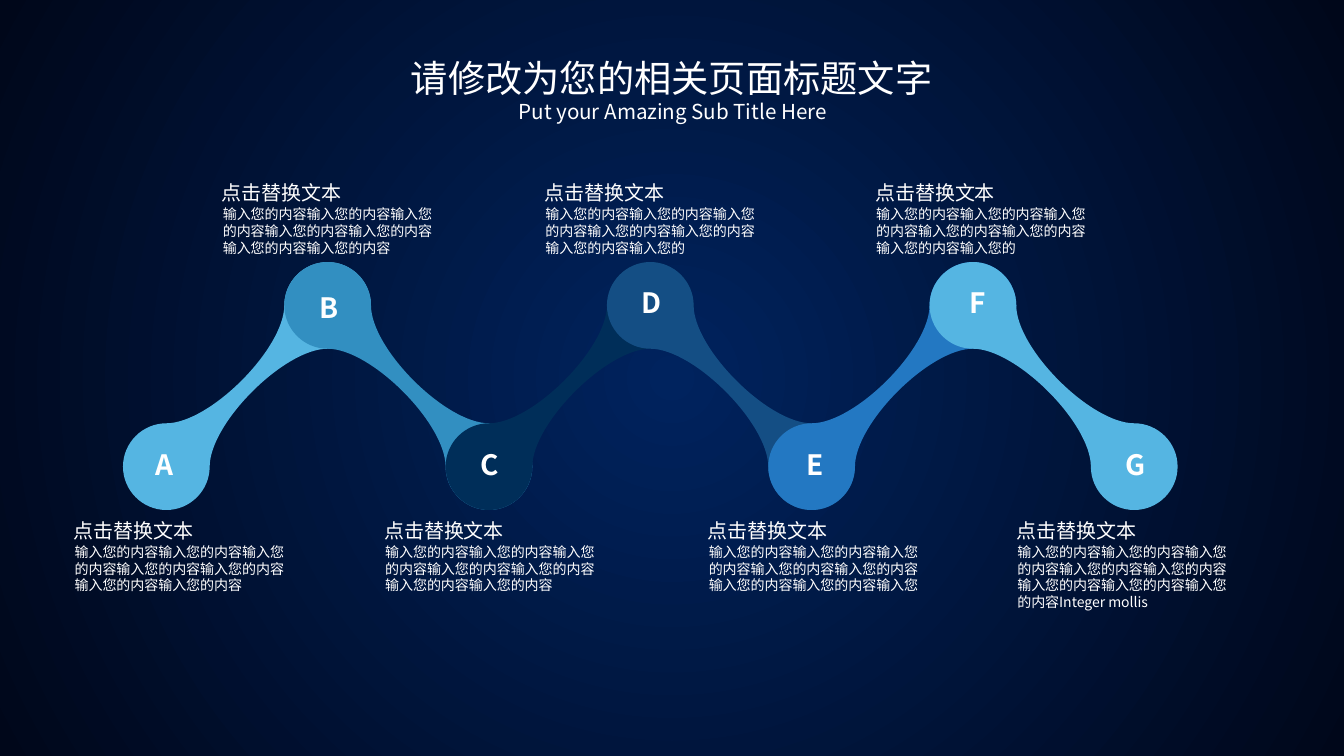
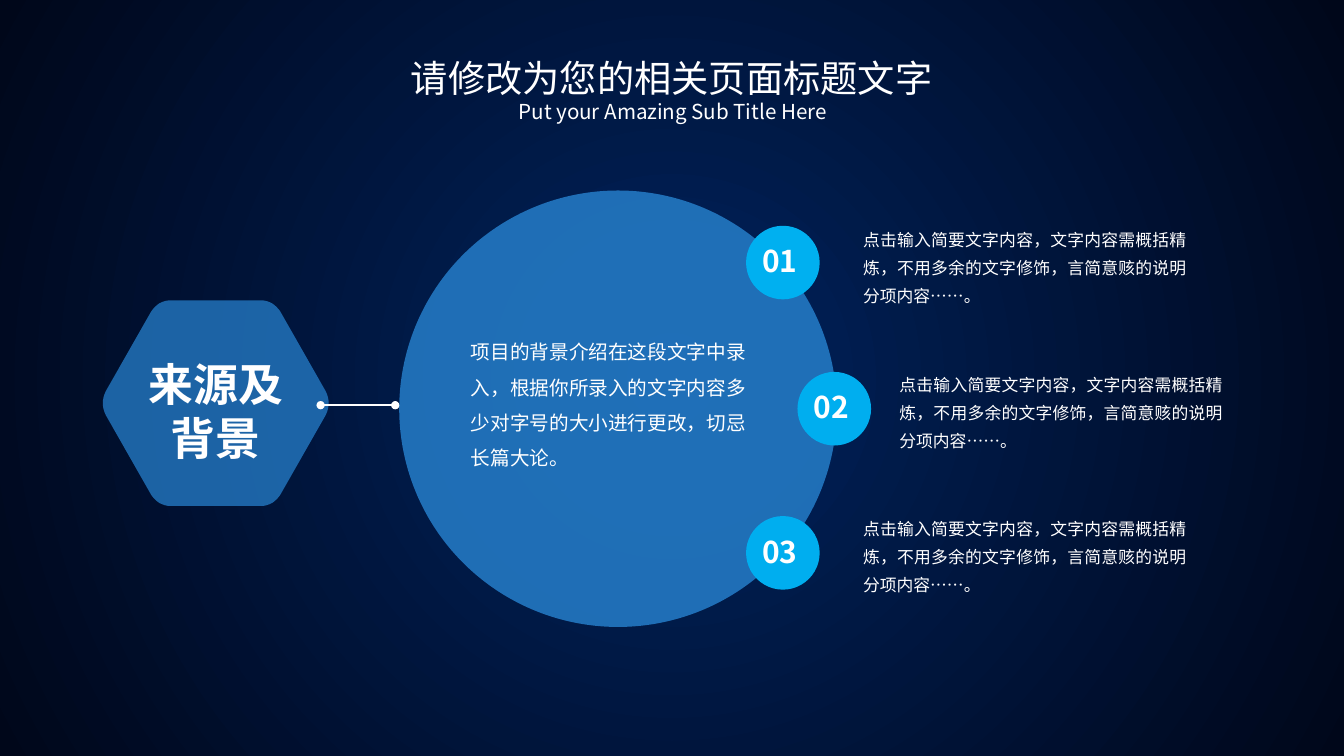
import math

from lxml import etree
from pptx import Presentation
from pptx import util as u
from pptx.dml.color import RGBColor
from pptx.enum import shapes, text
from pptx.oxml import ns

Inches, Pt = u.Inches, u.Pt
FONT = "Noto Sans CJK SC"
WHITE = RGBColor(0xFF, 0xFF, 0xFF)
GLOW = RGBColor(0x00, 0x23, 0x5E)
NIGHT = RGBColor(0x00, 0x07, 0x1A)
SKY = RGBColor(0x55, 0xB5, 0xE2)
OCEAN = RGBColor(0x32, 0x8F, 0xC1)
NAVY = RGBColor(0x00, 0x2E, 0x59)
STEEL = RGBColor(0x14, 0x4E, 0x84)
BLUE = RGBColor(0x23, 0x78, 0xC2)
AZURE = RGBColor(0x00, 0xB0, 0xF0)
CYAN = RGBColor(0x00, 0xAE, 0xEF)


def write(box, words, size, bold=False, inset=(0, 0), frame_format=None, para_format=None):
    frame = box.text_frame
    side, edge = map(Inches, inset)
    frame_values = {
        "margin_left": side, "margin_right": side,
        "margin_top": edge, "margin_bottom": edge,
        "word_wrap": True,
        "auto_size": text.MSO_AUTO_SIZE.NONE,
        "vertical_anchor": text.MSO_ANCHOR.TOP,
        **(frame_format or {}),
    }
    for name, value in frame_values.items():
        setattr(frame, name, value)
    para = frame.paragraphs[0]
    for name, value in (para_format or {}).items():
        setattr(para, name, value)
    span = para.add_run()
    span.text = words
    for name, value in {"name": FONT, "size": Pt(size), "bold": bold}.items():
        setattr(span.font, name, value)
    span.font.color.rgb = WHITE
    etree.SubElement(span.font._element, ns.qn("a:ea"), typeface=FONT)


def trace(page, start, pieces):
    points = [tuple(map(Inches, point)) for piece in pieces for point in piece]
    builder = page.shapes.build_freeform(*map(Inches, start), scale=1.0)
    builder.add_line_segments(points, close=True)
    outline = builder.convert_to_shape()
    steps = iter(outline.element.findall(".//" + ns.qn("a:lnTo")))
    for piece in pieces:
        group = [next(steps) for _ in piece]
        if len(group) == 3:
            bend = etree.Element(ns.qn("a:cubicBezTo"))
            group[0].addprevious(bend)
            for step in group:
                bend.append(step[0])
                step.getparent().remove(step)
    return outline


CENTERED = {"alignment": text.PP_ALIGN.CENTER}
UNWRAPPED = {"word_wrap": False}
MIDDLE = {"word_wrap": False, "vertical_anchor": text.MSO_ANCHOR.MIDDLE}

deck = Presentation()
deck.slide_width, deck.slide_height = Inches(13.33), Inches(7.5)

backdrop = deck.slide_master.background.fill
backdrop.gradient()
for stop, colour in zip(backdrop.gradient_stops, (GLOW, NIGHT)):
    stop.color.rgb = colour
gradient = deck.slide_master.element.find(".//" + ns.qn("a:gradFill"))
gradient.remove(gradient.find(ns.qn("a:lin")))
circular = etree.SubElement(gradient, ns.qn("a:path"), attrib={"path": "circle"})
etree.SubElement(circular, ns.qn("a:fillToRect"), l="50000", t="50000", r="50000", b="50000")

layout = deck.slide_layouts[5]
title_place = {"left": 2.73, "top": 0.55, "width": 7.87, "height": 0.45}
for name, value in title_place.items():
    setattr(layout.placeholders[0], name, Inches(value))

pages = [deck.slides.add_slide(layout) for _ in range(2)]
for page in pages:
    for name, value in title_place.items():
        setattr(page.shapes.title, name, Inches(value))
    write(page.shapes.title, "请修改为您的相关页面标题文字", 26.6, para_format=CENTERED)
    subtitle = page.shapes.add_textbox(*map(Inches, (3.87, 0.98, 5.6, 0.25)))
    write(subtitle, "Put your Amazing Sub Title Here", 14.65, para_format=CENTERED)

chain_page, source_page = pages
painted = []

PHRASE = "输入您的内容"
RADIUS, STRIDE = 0.43, 1.6
FIRST_X, LOW_Y = 1.65, 4.63
nodes = [
    ("A", 1.63, 4.61, 0.73, PHRASE * 7, SKY),
    ("B", 3.26, 3.05, 2.20, PHRASE * 7, OCEAN),
    ("C", 4.86, 4.61, 3.81, PHRASE * 7, NAVY),
    ("D", 6.46, 3.00, 5.40, PHRASE * 6 + "输入您的", STEEL),
    ("E", 8.08, 4.61, 7.02, PHRASE * 7 + "输入您", BLUE),
    ("F", 9.70, 3.00, 8.68, PHRASE * 6 + "输入您的", SKY),
    ("G", 11.26, 4.61, 10.08, PHRASE * 8 + "Integer mollis", None),
]
near, far = RADIUS, STRIDE - RADIUS
arcs = []
for hub, start in ((0, -90), (STRIDE, 90)):
    quarters = []
    for turn in range(3):
        angle = math.radians(start - 90 * turn)
        c, s = math.cos(angle), math.sin(angle)
        controls = [(c + 0.55 * s, s - 0.55 * c), (s + 0.55 * c, 0.55 * s - c), (s, -c)]
        quarters.append([(hub + RADIUS * x, RADIUS * y - hub) for x, y in controls])
    arcs.append(quarters)
link_pieces = [
    [(far, -far), (near, -near), (0, -near)],
    *arcs[0],
    [(near, -near), (far, -far), (STRIDE, -far)],
    *arcs[1],
]

for index, (letter, letter_x, letter_y, note_x, note, colour) in enumerate(nodes):
    raised = index % 2
    if colour is not None:
        hub_x = FIRST_X + index * STRIDE
        hub_y = LOW_Y - raised * STRIDE
        flip = -1 if raised else 1
        pieces = [[(hub_x + x, hub_y + flip * y) for x, y in piece] for piece in link_pieces]
        painted.append((trace(chain_page, pieces[-1][-1], pieces), colour, 100))
    badge = chain_page.shapes.add_textbox(
        *map(Inches, (letter_x - 0.16, letter_y - 0.23, 0.32, 0.45)))
    write(badge, letter, 20, True, (0.06, 0.06), MIDDLE, CENTERED)
    note_y = 1.79 if raised else 5.14
    heading = chain_page.shapes.add_textbox(*map(Inches, (note_x, note_y, 2.1, 0.24)))
    write(heading, "点击替换文本", 14.3)
    body = chain_page.shapes.add_textbox(*map(Inches, (note_x + 0.01, note_y + 0.25, 2.09, 0.5)))
    write(body, note, 10)

HEX_X, HEX_Y = 2.14, 4
quadrant = [
    [(1.12, 0.04), (1.11, 0.08), (1.09, 0.12)],
    [(0.64, 0.91)],
    [(0.62, 0.94), (0.59, 0.97), (0.56, 0.99)],
    [(0.52, 1.01), (0.49, 1.02), (0.45, 1.02)],
]
walk = [(1.12, 0)] + [point for piece in quadrant for point in piece]
half = walk + [(-x, y) for x, y in reversed(walk)]
loop = [(HEX_X + x, HEX_Y + y) for x, y in half + [(-x, -y) for x, y in half]]
sizes = [len(piece) for piece in quadrant]
side_sizes = sizes + [1] + sizes[::-1]
hexagon_pieces, position = [], 1
for size in side_sizes * 2:
    hexagon_pieces.append(loop[position:position + size])
    position += size
    if position == len(half):
        position += 1
painted.append((trace(source_page, loop[0], hexagon_pieces), BLUE, 80))

disc = source_page.shapes.add_shape(
    shapes.MSO_SHAPE.OVAL, *map(Inches, (3.96, 1.89, 4.34, 4.33)))
painted.append((disc, BLUE, 90))

JUSTIFIED = {"alignment": text.PP_ALIGN.JUSTIFY}
ITEM = "点击输入简要文字内容，文字内容需概括精炼，不用多余的文字修饰，言简意赅的说明分项内容……。"
items = [
    (7.4, 2.24, 8.56, 2.2, AZURE),
    (7.91, 3.69, 8.92, 3.64, CYAN),
    (7.4, 5.12, 8.56, 5.07, CYAN),
]
for number, (x, y, item_x, item_y, colour) in enumerate(items, 1):
    dot = source_page.shapes.add_shape(
        shapes.MSO_SHAPE.OVAL, *map(Inches, (x, y, 0.73, 0.73)))
    painted.append((dot, colour, 100))
    label = source_page.shapes.add_textbox(*map(Inches, (x + 0.06, y + 0.12, 0.57, 0.46)))
    write(label, f"{number:02}", 21.4, True, (0.1, 0.05), UNWRAPPED)
    item = source_page.shapes.add_textbox(*map(Inches, (item_x, item_y, 3.21, 0.84)))
    write(item, ITEM, 12, para_format={**JUSTIFIED, "line_spacing": Pt(20)})

bridge = source_page.shapes.add_connector(
    shapes.MSO_CONNECTOR.STRAIGHT, *map(Inches, (3.18, 4.02, 3.92, 4.02)))
bridge.line.color.rgb = WHITE
bridge.line.width = Pt(1)
stroke = bridge.line._get_or_add_ln()
for end in ("a:headEnd", "a:tailEnd"):
    etree.SubElement(stroke, ns.qn(end), type="oval")
etree.SubElement(bridge.element.spPr, ns.qn("a:effectLst"))

topic = source_page.shapes.add_textbox(*map(Inches, (1.28, 3.49, 1.72, 1.18)))
write(topic, "来源及背景", 32, True, (0.1, 0.05), para_format=CENTERED)
summary = source_page.shapes.add_textbox(*map(Inches, (4.67, 3.26, 2.73, 1.41)))
write(summary, "项目的背景介绍在这段文字中录入，根据你所录入的文字内容多少对字号的大小进行更改，切忌长篇大论。",
      14, para_format={**JUSTIFIED, "line_spacing": 1.5})

for shape, colour, opacity in painted:
    shape.shadow.inherit = False
    shape.line.fill.background()
    shape.fill.solid()
    shape.fill.fore_color.rgb = colour
    if opacity < 100:
        tint = shape.element.spPr.find(ns.qn("a:solidFill"))[0]
        etree.SubElement(tint, ns.qn("a:alpha"), val=str(opacity * 1000))

deck.save("out.pptx")
